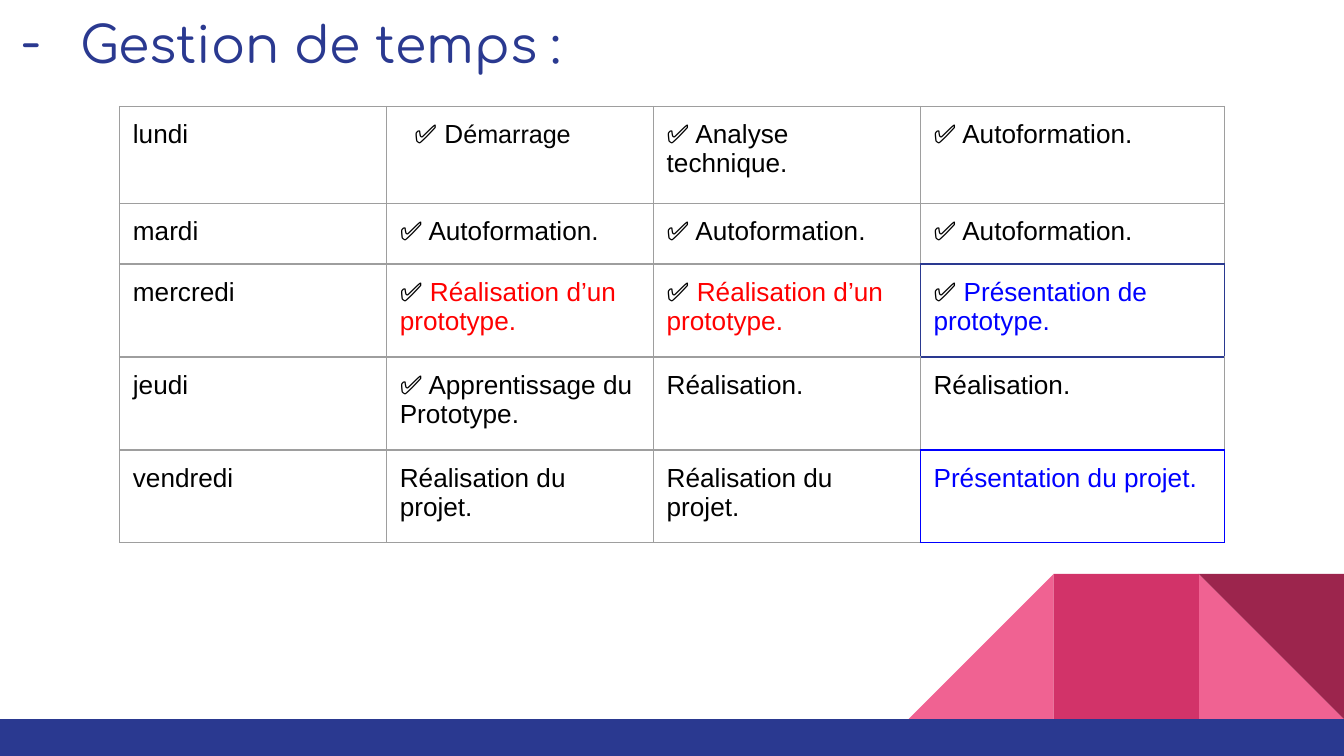
from dataclasses import dataclass
from lxml.etree import SubElement as Sub
from pptx import Presentation as Deck
from pptx.dml.color import RGBColor as Rgb
from pptx.enum.shapes import MSO_SHAPE as Form
from pptx.enum.text import MSO_ANCHOR as Anchor, PP_ALIGN as Align
from pptx.oxml.ns import qn
from pptx.util import Pt


@dataclass(frozen=True)
class Theme:
    navy: str = "2A3990"
    pink: str = "F06292"
    rose: str = "D23369"
    wine: str = "9C254D"
    gray: str = "9E9E9E"
    black: str = "000000"
    dark: str = "040404"
    red: str = "FF0000"
    blue: str = "0000FF"
    head: str = "Comfortaa"
    body: str = "Arial"
    big: float = 27
    mid: float = 14
    small: float = 13.5
    rule: float = 0.75
    pad: float = 7.2


def apply(item, style):
    for name, value in style.items():
        setattr(item, name, value)


class Page:
    def __init__(self, deck, theme):
        self.theme = theme
        self.slide = deck.slides.add_slide(deck.slide_layouts[5])

    def pads(self):
        sides = ("left", "top", "right", "bottom")
        return {f"margin_{side}": Pt(self.theme.pad) for side in sides}

    def label(self, para, text, font, size, color):
        run = para.add_run()
        run.text = text
        apply(run.font, {"name": font, "size": Pt(size), "bold": False})
        run.font.color.rgb = Rgb.from_string(color)

    def title(self, text, box):
        theme = self.theme
        shape = self.slide.shapes.title
        apply(shape, dict(zip(("left", "top", "width", "height"), map(Pt, box))))
        frame = shape.text_frame
        apply(frame, {**self.pads(), "vertical_anchor": Anchor.MIDDLE, "word_wrap": True})
        para = frame.paragraphs[0]
        para.alignment = Align.LEFT
        self.label(para, text, theme.head, theme.big, theme.navy)
        props = para._p.get_or_add_pPr()
        props.set("marL", str(Pt(36)))
        props.set("indent", str(Pt(-31.5)))
        tint = Sub(props, qn("a:buClr"))
        Sub(tint, qn("a:srgbClr"), val=theme.navy)
        Sub(props, qn("a:buFont"), typeface=theme.head)
        Sub(props, qn("a:buChar"), char="-")

    def shape(self, form, box, color, turn=0):
        shape = self.slide.shapes.add_shape(form, *map(Pt, box))
        apply(shape, {"rotation": turn})
        shape.shadow.inherit = False
        shape.fill.solid()
        shape.fill.fore_color.rgb = Rgb.from_string(color)
        shape.line.fill.background()

    def edge(self, cell, colors):
        props = cell._tc.get_or_add_tcPr()
        for spot, (side, color) in enumerate(zip("LRTB", colors)):
            line = Sub(props, qn(f"a:ln{side}"), w=str(Pt(self.theme.rule)))
            fill = Sub(line, qn("a:solidFill"))
            Sub(fill, qn("a:srgbClr"), val=color)
            props.insert(spot, line)

    def table(self, rows, spot, wide, tall, marks, shifts):
        theme = self.theme
        size = (sum(wide), sum(tall))
        grid = self.slide.shapes.add_table(len(tall), len(wide), *map(Pt, spot + size)).table
        apply(grid, {"first_row": False, "horz_banding": False})
        for col, width in zip(grid.columns, wide):
            col.width = Pt(width)
        for row, height in zip(grid.rows, tall):
            row.height = Pt(height)
        for y, row in enumerate(rows):
            for x, runs in enumerate(row):
                cell = grid.cell(y, x)
                apply(cell, {**self.pads(), "vertical_anchor": Anchor.TOP})
                cell.margin_left = Pt(theme.pad + shifts.get((y, x), 0))
                cell.fill.background()
                para = cell.text_frame.paragraphs[0]
                for text, color, points in runs:
                    self.label(para, text, theme.body, points, color)
                near = ((y, x - 1), (y, x + 1), (y - 1, x), (y + 1, x))
                own = marks.get((y, x))
                self.edge(cell, [own or marks.get(key, theme.gray) for key in near])


def main():
    theme = Theme()
    deck = Deck()
    apply(deck, {"slide_width": Pt(720), "slide_height": Pt(405)})
    page = Page(deck, theme)

    side, base = 77.75, 385.25
    top = base - side
    tiles = (
        (Form.RIGHT_TRIANGLE, 1, theme.pink, 0),
        (Form.RIGHT_TRIANGLE, 3, theme.pink, 270),
        (Form.RECTANGLE, 2, theme.rose, 0),
        (Form.RIGHT_TRIANGLE, 1, theme.wine, 180),
    )
    for form, step, color, turn in tiles:
        page.shape(form, (720 - step * side, top, side, side), color, turn)
    page.shape(Form.RECTANGLE, (0, base, 720, 405 - base), theme.navy)
    page.title("Gestion de temps :", (0, 0, 720, 46))

    def plain(text, color=theme.black, size=theme.mid):
        return [(text, color, size)]

    def done(text, color=theme.black):
        return plain("✅ ") + plain(text, color)

    learn = done("Autoformation.")
    proto = done("Réalisation d’un prototype.", theme.red)
    build = plain("Réalisation.")
    final = plain("Réalisation du projet.")
    start = done("D") + plain("émarrage", theme.dark, theme.small)
    rows = (
        (plain("lundi"), start, done("Analyse technique."), learn),
        (plain("mardi"), learn, learn, learn),
        (plain("mercredi"), proto, proto, done("Présentation de prototype.", theme.blue)),
        (plain("jeudi"), done("Apprentissage du Prototype."), build, build),
        (plain("vendredi"), final, final, plain("Présentation du projet.", theme.blue)),
    )
    page.table(
        rows,
        spot=(64, 57),
        wide=(143, 143, 143, 163),
        tall=(52, 32.5, 49.8, 49.8, 49.8),
        marks={(2, 3): theme.navy, (4, 3): theme.blue},
        shifts={(0, 1): 7.8},
    )
    deck.save("out.pptx")


if __name__ == "__main__":
    main()
